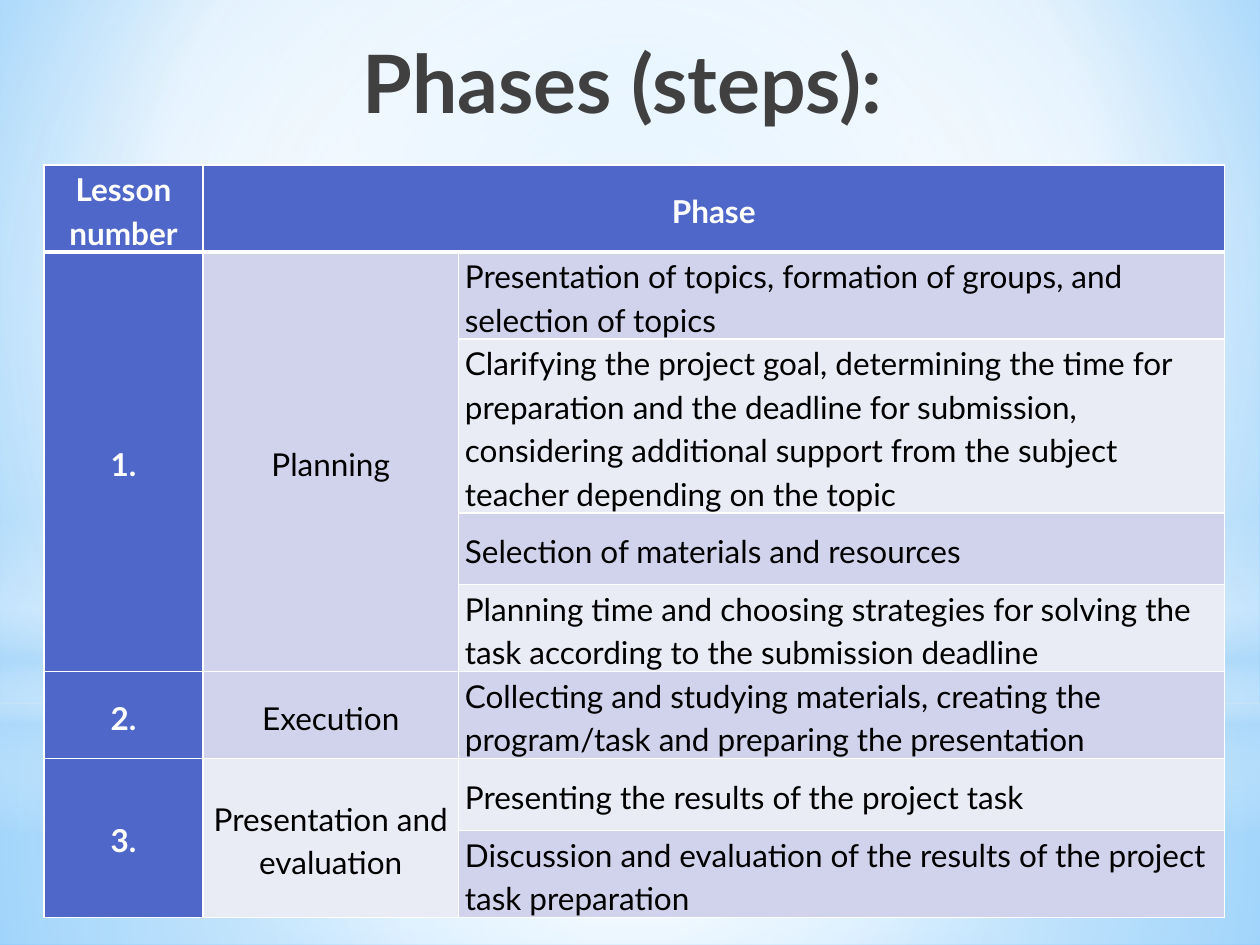
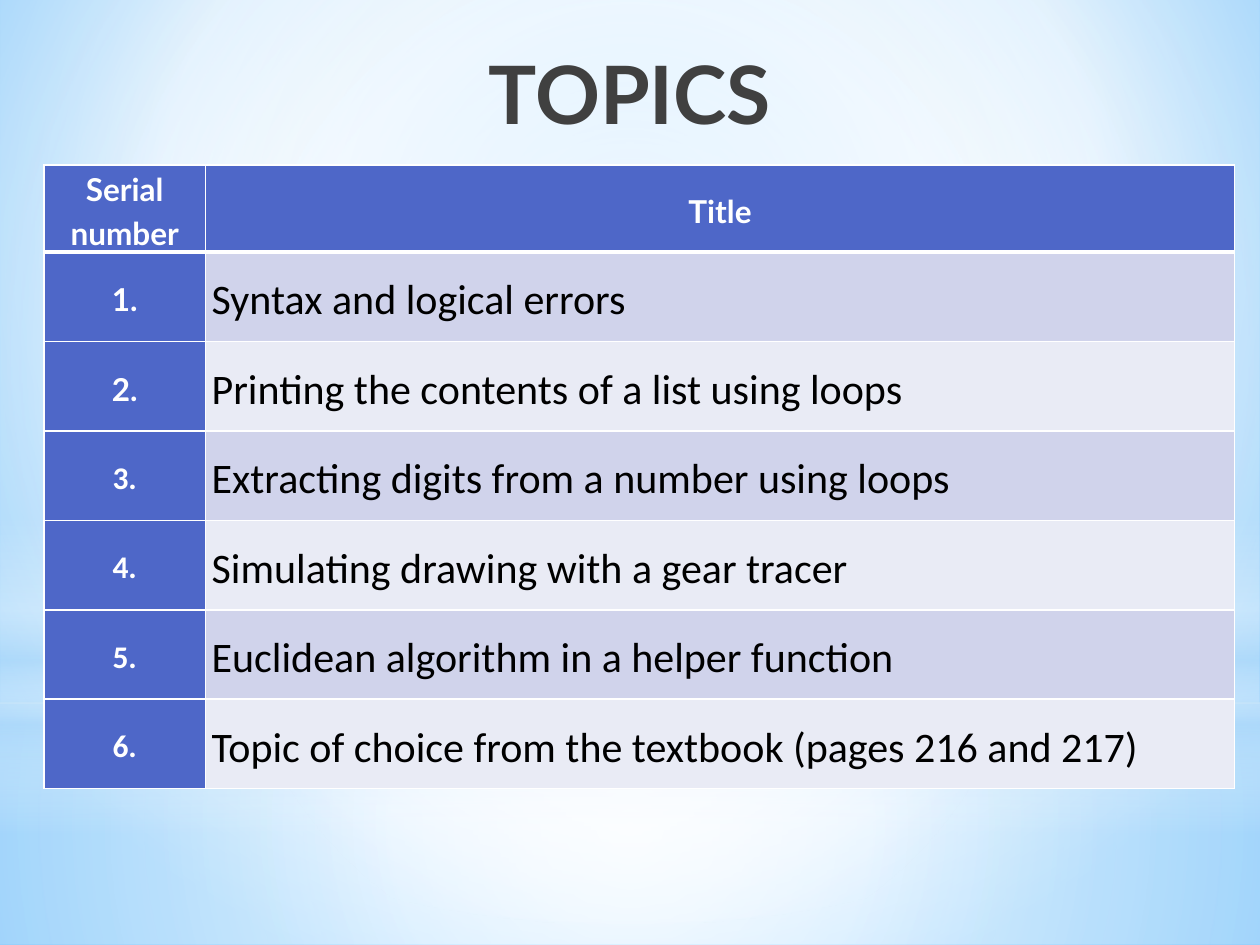
"""Build two slides on project work: a table of its phases and a table of topics."""
import pptx
import pptx.dml.color
import pptx.enum.shapes
import pptx.enum.text
import pptx.oxml
import pptx.oxml.ns
import pptx.util
from pptx.util import Inches

RGBColor = pptx.dml.color.RGBColor
Shape = pptx.enum.shapes.MSO_SHAPE
Anchor = pptx.enum.text.MSO_ANCHOR
Align = pptx.enum.text.PP_ALIGN

WHITE = RGBColor(0xFF, 0xFF, 0xFF)
BLACK = RGBColor(0x00, 0x00, 0x00)
TITLE_GREY = RGBColor(0x40, 0x40, 0x40)
HEADER_BLUE = RGBColor(0x4E, 0x67, 0xC8)
BAND_DARK = RGBColor(0xD0, 0xD3, 0xEB)
BAND_LIGHT = RGBColor(0xE9, 0xEB, 0xF5)
SKY = RGBColor(0x9E, 0xD5, 0xFF)
DEEP_SKY = RGBColor(0x5B, 0xB9, 0xFF)
MIST = RGBColor(0xB4, 0xDC, 0xFA)

HEADING_FONT = "Lato"
TOPIC_FONT = "Calibri"
TABLE_LEFT, TABLE_TOP = 0.35, 1.31
THIN, THICK = 1, 3

CENTER = (50, 50, 50, 50)
BACKGROUND = ([(0, SKY, 100), (60, WHITE, 100), (100, DEEP_SKY, 100)], (20, 10, 20, 60))
BACKDROP = [
    (Shape.RECTANGLE, (0, 5.58, 10, 1.92),
     [(0, WHITE, 91), (37, WHITE, 76), (100, MIST, 79)], CENTER),
    (Shape.RECTANGLE, (0, 0, 10, 5.58),
     [(0, WHITE, 89), (48, WHITE, 62), (100, MIST, 79)], CENTER),
    (Shape.RECTANGLE, (0, 4.12, 10, 2.5),
     [(0, WHITE, 0), (29, WHITE, 30), (45, MIST, 40),
      (55, WHITE, 26), (65, MIST, 60), (100, WHITE, 0)], None),
    (Shape.OVAL, (0, 1.75, 10, 5.58), [(0, WHITE, 100), (56, WHITE, 0)], CENTER),
]

PHASES = {
    "title": "Phases (steps):",
    "title_box": (1.38, 0.21, 7.12, 1.25),
    "title_anchor": Anchor.TOP,
    "columns": [1.26, 2.03, 6.08],
    "row_heights": [0.57, 0.57, 1.18, 0.57, 0.58, 0.58, 0.57, 0.58],
    "rows": [
        ("Lesson number", "Phase", ""),
        ("1.", "Planning",
         "Presentation of topics, formation of groups, and selection of topics"),
        ("", "", "Clarifying the project goal, determining the time for preparation and the "
         "deadline for submission, considering additional support from the subject teacher "
         "depending on the topic"),
        ("", "", "Selection of materials and resources"),
        ("", "", "Planning time and choosing strategies for solving the task according to "
         "the submission deadline"),
        ("2.", "Execution", "Collecting and studying materials, creating the program/task "
         "and preparing the presentation"),
        ("3.", "Presentation and evaluation", "Presenting the results of the project task"),
        ("", "", "Discussion and evaluation of the results of the project task preparation"),
    ],
    "merges": [((0, 1), (0, 2)), ((1, 0), (4, 0)), ((1, 1), (4, 1)),
               ((6, 0), (7, 0)), ((6, 1), (7, 1))],
    "body_font": (HEADING_FONT, 18),
    "number_fonts": [HEADING_FONT] * 8,
}
TOPICS = {
    "title": "TOPICS",
    "title_box": (0.5, 0.3, 9, 0.87),
    "title_anchor": Anchor.MIDDLE,
    "columns": [1.28, 8.17],
    "row_heights": [0.47] + [0.71] * 6,
    "rows": [
        ("Serial number", "Title"),
        ("1.", "Syntax and logical errors"),
        ("2.", "Printing the contents of a list using loops"),
        ("3.", "Extracting digits from a number using loops"),
        ("4.", "Simulating drawing with a gear tracer"),
        ("5.", "Euclidean algorithm in a helper function"),
        ("6.", "Topic of choice from the textbook (pages 216 and 217)"),
    ],
    "merges": [],
    "body_font": (TOPIC_FONT, 24),
    "number_fonts": [HEADING_FONT] * 3 + [TOPIC_FONT] * 4,
}


def set_gradient(owner, fill, stops, focus):
    """Give a fill its gradient stops, radial around focus or top to bottom."""
    fill.gradient()
    old = owner.find(".//" + pptx.oxml.ns.qn("a:gradFill"))
    stop_xml = "".join(
        f'<a:gs pos="{position * 1000}"><a:srgbClr val="{color}">'
        f'<a:alpha val="{opacity * 1000}"/></a:srgbClr></a:gs>'
        for position, color, opacity in stops)
    direction = '<a:lin ang="5400000" scaled="0"/>'
    if focus:
        sides = " ".join(f'{side}="{value * 1000}"' for side, value in zip("ltrb", focus))
        direction = f'<a:path path="circle"><a:fillToRect {sides}/></a:path>'
    old.getparent().replace(old, pptx.oxml.parse_xml(
        f'<a:gradFill {pptx.oxml.ns.nsdecls("a")} rotWithShape="1">'
        f'<a:gsLst>{stop_xml}</a:gsLst>{direction}</a:gradFill>'))


def add_backdrop(slide):
    """Draw the background and the soft light shapes over it."""
    set_gradient(slide.element, slide.background.fill, *BACKGROUND)
    for kind, box, stops, focus in BACKDROP:
        shape = slide.shapes.add_shape(kind, *map(Inches, box))
        shape.shadow.inherit = False
        shape.line.fill.background()
        set_gradient(shape.element, shape.fill, stops, focus)


def write(text_frame, text, font_name, size, color, bold, alignment):
    """Put one formatted paragraph in a text frame."""
    text_frame.text = text
    paragraph = text_frame.paragraphs[0]
    paragraph.alignment = alignment
    for run in paragraph.runs:
        run.font.name = font_name
        run.font.size = pptx.util.Pt(size)
        run.font.bold = bold
        run.font.color.rgb = color
    return paragraph


def add_title(slide, content):
    """Add the slide title."""
    text_frame = slide.shapes.add_textbox(*map(Inches, content["title_box"])).text_frame
    text_frame.word_wrap = True
    text_frame.vertical_anchor = content["title_anchor"]
    write(text_frame, content["title"], HEADING_FONT, 46, TITLE_GREY, True, Align.CENTER)


def set_borders(cell, top, bottom):
    """Draw white borders around a cell, ahead of its fill."""
    properties = cell._tc.get_or_add_tcPr()
    widths = {"lnL": THIN, "lnR": THIN, "lnT": top, "lnB": bottom}
    for index, (side, width) in enumerate(widths.items()):
        properties.insert(index, pptx.oxml.parse_xml(
            f'<a:{side} {pptx.oxml.ns.nsdecls("a")} w="{pptx.util.Pt(width)}">'
            f'<a:solidFill><a:srgbClr val="{WHITE}"/></a:solidFill></a:{side}>'))


def format_cell(cell, text, row, column, content):
    """Style a cell by its place: header row, number column or banded body."""
    is_header = row == 0
    is_label = is_header or column == 0
    is_last = column == len(content["columns"]) - 1
    cell.margin_left = cell.margin_right = Inches(0.05)
    cell.margin_top = cell.margin_bottom = 0
    cell.vertical_anchor = Anchor.MIDDLE
    cell.fill.solid()
    band = BAND_DARK if row % 2 else BAND_LIGHT
    cell.fill.fore_color.rgb = HEADER_BLUE if is_label else band
    set_borders(cell, THICK if row == 1 else THIN, THICK if is_header else THIN)
    if not text:
        return
    font = (content["number_fonts"][row], 18) if is_label else content["body_font"]
    alignment = Align.LEFT if is_last and not is_header else Align.CENTER
    paragraph = write(cell.text_frame, text, *font, WHITE if is_label else BLACK,
                      is_label, alignment)
    paragraph.line_spacing = 1.15


def add_content_table(slide, content):
    """Add the table with its sizes, merges and cells."""
    columns, heights, rows = content["columns"], content["row_heights"], content["rows"]
    table = slide.shapes.add_table(
        len(rows), len(columns), Inches(TABLE_LEFT), Inches(TABLE_TOP),
        Inches(sum(columns)), Inches(sum(heights))).table
    table.first_row = table.horz_banding = False
    for column, width in zip(table.columns, columns):
        column.width = Inches(width)
    for row, height in zip(table.rows, heights):
        row.height = Inches(height)
    for first, last in content["merges"]:
        table.cell(*first).merge(table.cell(*last))
    for row_index, texts in enumerate(rows):
        for column_index, text in enumerate(texts):
            cell = table.cell(row_index, column_index)
            format_cell(cell, text, row_index, column_index, content)


def main():
    """Build and save the presentation."""
    presentation = pptx.Presentation()
    presentation.slide_width, presentation.slide_height = Inches(10), Inches(7.5)
    for content in (PHASES, TOPICS):
        slide = presentation.slides.add_slide(presentation.slide_layouts[6])
        add_backdrop(slide)
        add_title(slide, content)
        add_content_table(slide, content)
    presentation.save("out.pptx")


if __name__ == "__main__":
    main()
